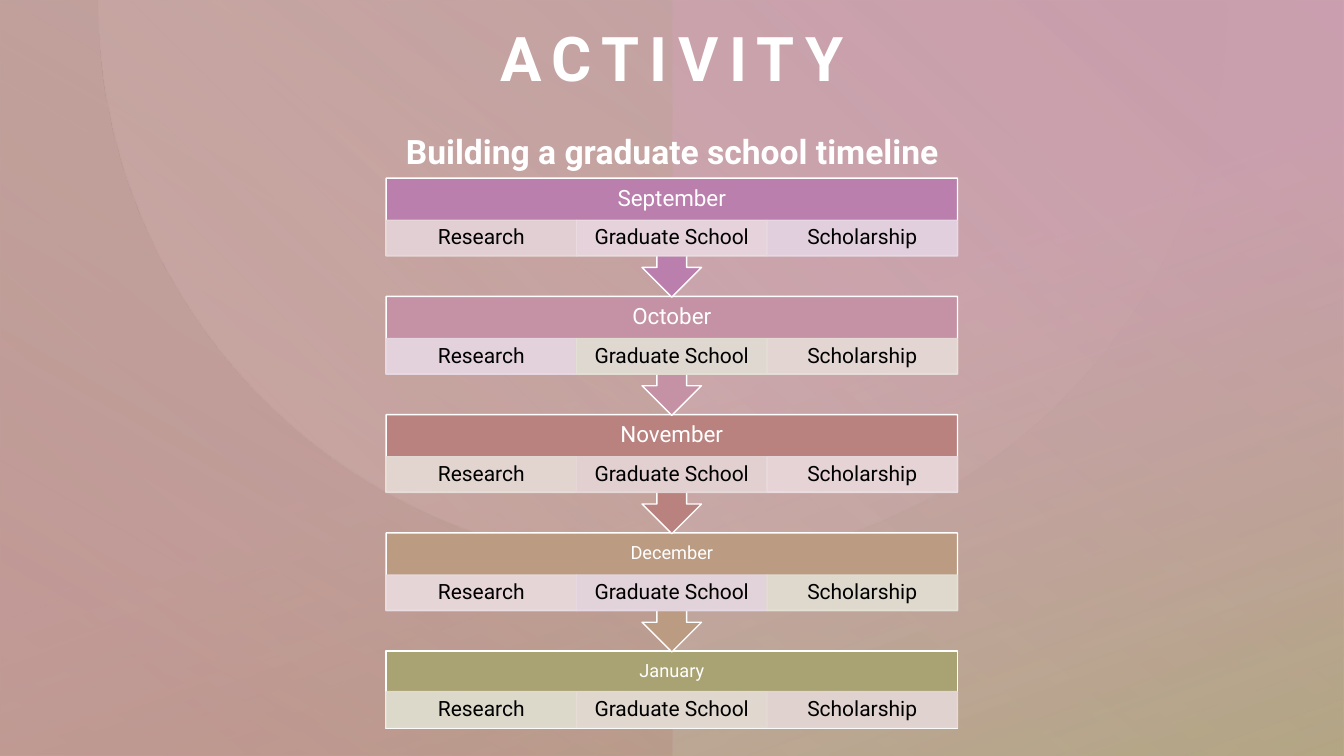
"""Build the graduate school timeline activity slide."""
from math import cos, pi, sin

from lxml.etree import SubElement
from pptx import Presentation
from pptx.dml.color import RGBColor
from pptx.enum.shapes import MSO_SHAPE
from pptx.enum.text import MSO_ANCHOR, PP_ALIGN
from pptx.oxml.ns import qn
from pptx.util import Cm, Pt

WHITE = RGBColor(0xFF, 0xFF, 0xFF)
BLACK = RGBColor(0x00, 0x00, 0x00)
MAUVE = RGBColor(0xBA, 0x7F, 0xAD)
PINK = RGBColor(0xC4, 0x92, 0xA4)
ROSE = RGBColor(0xBA, 0x82, 0x7F)
TAN = RGBColor(0xBB, 0x9B, 0x81)
OLIVE = RGBColor(0xA9, 0xA2, 0x73)
PALE_OLIVE = RGBColor(0xCB, 0xC7, 0xAB)
BLUSH = RGBColor(0xD6, 0xB4, 0xB2)
CELL_TINTS = [
    RGBColor(0xE7, 0xD8, 0xD8),
    RGBColor(0xEA, 0xDC, 0xE0),
    RGBColor(0xE7, 0xD8, 0xE3),
    RGBColor(0xE2, 0xE0, 0xD5),
    RGBColor(0xE7, 0xDE, 0xD8),
]

SLIDE_WIDTH, SLIDE_HEIGHT = Cm(33.87), Cm(19.05)


def paint(shape, stops, angle=None):
    """Fill with one (colour, opacity) or a gradient of (position, colour, opacity)."""
    shape.shadow.inherit = False
    if angle is None:
        colour, opacity = stops
        shape.fill.solid()
        shape.fill.fore_color.rgb = colour
        shape.line.color.rgb = colour
        opacities = [opacity, opacity]
    else:
        shape.line.fill.background()
        shape.fill.gradient()
        shape.fill.gradient_angle = 360 - angle
        for stop, (position, colour, _) in zip(shape.fill.gradient_stops, stops):
            stop.position = position
            stop.color.rgb = colour
        opacities = [opacity for _, _, opacity in stops]
    colours = shape.element.spPr.iter(qn("a:srgbClr"))
    for colour_element, opacity in zip(list(colours), opacities):
        if opacity < 100:
            SubElement(colour_element, qn("a:alpha"), val=str(opacity * 1000))


def write(shape, text, size, colour, bold=False, spacing=0.9, **frame_format):
    """Put one centred line of text into a shape."""
    frame = shape.text_frame
    frame.word_wrap = True
    for name, value in frame_format.items():
        setattr(frame, name, value)
    paragraph = frame.paragraphs[0]
    paragraph.alignment = PP_ALIGN.CENTER
    paragraph.line_spacing = spacing
    run = paragraph.add_run()
    run.text = text
    font_format = {"name": "Roboto", "size": Pt(size), "bold": bold}
    for name, value in font_format.items():
        setattr(run.font, name, value)
    run.font.color.rgb = colour
    return run


presentation = Presentation()
presentation.slide_width, presentation.slide_height = SLIDE_WIDTH, SLIDE_HEIGHT
slide = presentation.slides.add_slide(presentation.slide_layouts[6])
shapes = slide.shapes

washes = [
    (SLIDE_WIDTH, 130, [(0, PINK, 75), (1, PALE_OLIVE, 100)]),
    (SLIDE_WIDTH, 70, [(0.49, PINK, 50), (1, OLIVE, 74)]),
    (SLIDE_WIDTH // 2, 120, [(0, OLIVE, 17), (0.85, ROSE, 40)]),
]
for width, angle, stops in washes:
    wash = shapes.add_shape(MSO_SHAPE.RECTANGLE, 0, 0, width, SLIDE_HEIGHT)
    paint(wash, stops, angle)

disc_centre, disc_radius, disc_steps = 16.71, 14.22, 120
rim = [
    (Cm(disc_centre + disc_radius * cos(pi * step / disc_steps)),
     Cm(disc_radius * sin(pi * step / disc_steps)))
    for step in range(disc_steps + 1)
]
outline = shapes.build_freeform(*rim[0])
outline.add_line_segments(rim[1:], close=True)
paint(outline.convert_to_shape(), [(0.07, BLUSH, 3), (1, BLUSH, 37)], 135)

title = shapes.add_textbox(Cm(4.24), Cm(0.28), Cm(25.4), Cm(2.31))
title_run = write(
    title, "ACTIVITY", 44, WHITE, bold=True, spacing=1,
    vertical_anchor=MSO_ANCHOR.MIDDLE,
    margin_left=0, margin_right=0, margin_top=0, margin_bottom=0,
)
title_run.font._element.set("spc", "750")

subtitle = shapes.add_textbox(Cm(2.69), Cm(2.16), Cm(28.5), Cm(2.01))
write(subtitle, "Building a graduate school timeline", 24, WHITE, bold=True, spacing=2)

months = [
    ("September", MAUVE, 16),
    ("October", PINK, 16),
    ("November", ROSE, 16),
    ("December", TAN, 13),
    ("January", OLIVE, 13),
]
tasks = ["Research", "Graduate School", "Scholarship"]
timeline_left, timeline_top, month_pitch = Cm(9.73), Cm(4.49), Cm(2.98)
task_width, task_height = Cm(4.8), Cm(0.9)
month_width = task_width * len(tasks)
last_row = len(months) - 1

for row, (month, colour, size) in reversed(list(enumerate(months))):
    top = timeline_top + row * month_pitch
    is_last = row == last_row
    preset = MSO_SHAPE.RECTANGLE if is_last else MSO_SHAPE.DOWN_ARROW_CALLOUT
    height = Cm(1.95) if is_last else Cm(3)
    month_box = shapes.add_shape(preset, timeline_left, top, month_width, height)
    paint(month_box, (colour, 100))
    month_box.line.color.rgb = WHITE
    month_box.line.width = Pt(1)
    write(month_box, month, size, WHITE, vertical_anchor=MSO_ANCHOR.MIDDLE,
          margin_top=0, margin_bottom=task_height)

    task_top = top + (Cm(1.02) if is_last else Cm(1.06))
    for column, task in enumerate(tasks):
        task_cell = shapes.add_shape(
            MSO_SHAPE.RECTANGLE, timeline_left + column * task_width, task_top,
            task_width, task_height)
        paint(task_cell, (CELL_TINTS[(2 * row + column) % len(CELL_TINTS)], 90))
        task_cell.line.width = Pt(1)
        write(task_cell, task, 15, BLACK, vertical_anchor=MSO_ANCHOR.MIDDLE,
              margin_left=Cm(0.3), margin_right=Cm(0.3),
              margin_top=Cm(0.05), margin_bottom=Cm(0.05))

presentation.save("out.pptx")
